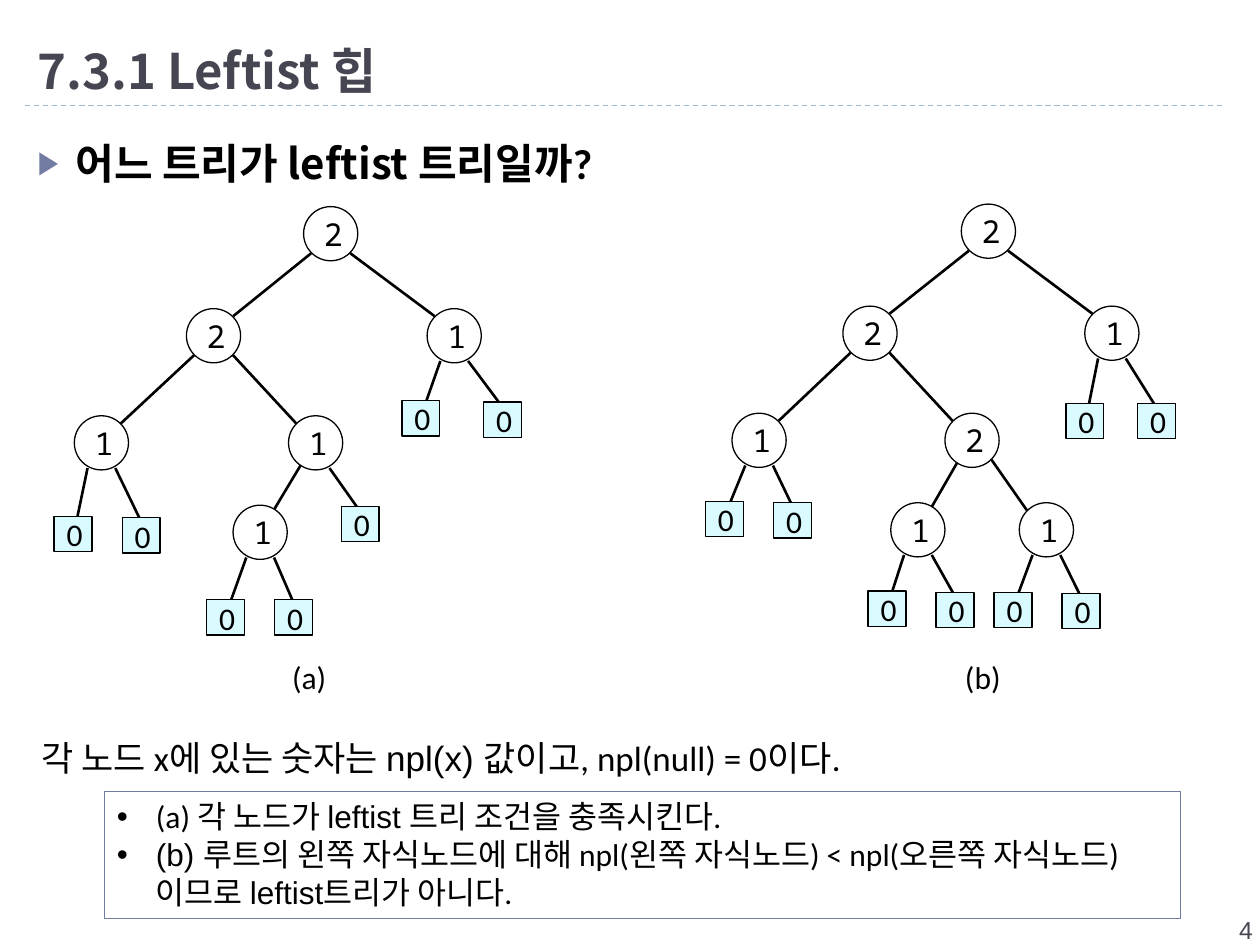
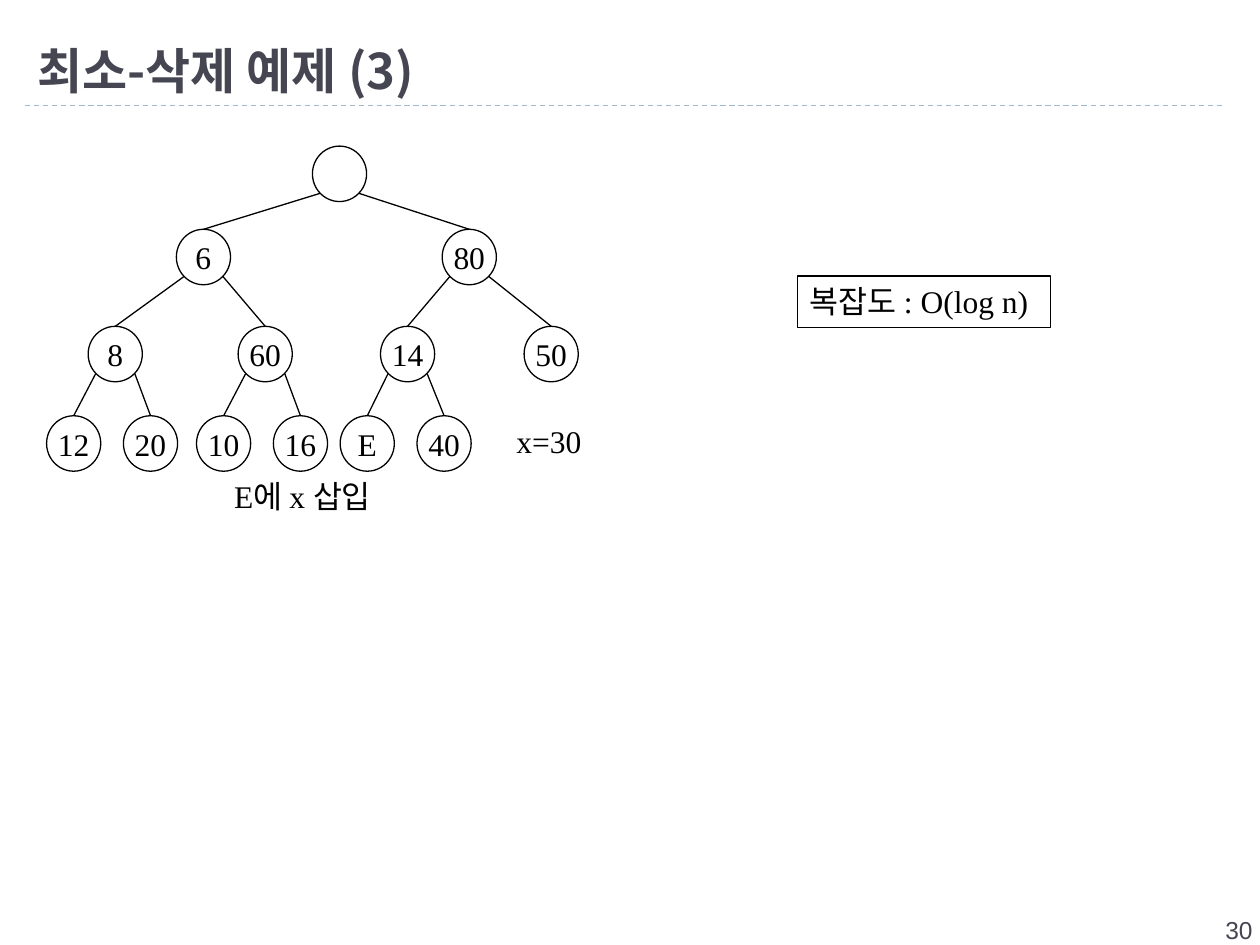
import pptx
import pptx.util
import pptx.dml.color
import pptx.enum.shapes
import pptx.enum.text
import pptx.enum.dml
import pptx.oxml.ns
import lxml.etree
from dataclasses import dataclass

Inches = pptx.util.Inches
Pt = pptx.util.Pt
SHAPES = pptx.enum.shapes.MSO_SHAPE
ALIGN = pptx.enum.text.PP_ALIGN
ANCHOR = pptx.enum.text.MSO_ANCHOR


@dataclass(frozen=True)
class Theme:
    ink: str = "000000"
    heading: str = "464653"
    accent: str = "727CA3"
    rule: str = "9FB8CD"
    node: str = "FFFFFF"
    leaf: str = "D9FAFF"
    sans: str = "Calibri"
    plain: str = "Arial"
    korean: str = "Noto Sans CJK KR"
    mono: str = "Noto Sans Mono"
    serif: str = "Times New Roman"
    title_size: int = 28
    question_size: int = 24
    note_size: int = 20
    text_size: int = 18
    number_size: int = 14


THEME = Theme()

LEFTIST_TITLE = ("7.3.1 Leftist 힙", "4")
LEFTIST_TREES = [
    ("2", 2.41, 1.64,
     ("2", 1.48, 2.45,
      ("1", 0.59, 3.3, ("0", 0.43, 4.1), ("0", 0.97, 4.11)),
      ("1", 2.29, 3.3,
       ("1", 1.85, 4.01, ("0", 1.64, 4.76), ("0", 2.18, 4.76)),
       ("0", 2.71, 4.02))),
     ("1", 3.39, 2.45, ("0", 3.19, 3.18), ("0", 3.84, 3.19))),
    ("2", 7.63, 1.62,
     ("2", 6.69, 2.43,
      ("1", 5.81, 3.28, ("0", 5.6, 3.98), ("0", 6.14, 3.99)),
      ("2", 7.5, 3.28,
       ("1", 7.07, 3.99, ("0", 6.89, 4.69), ("0", 7.43, 4.7)),
       ("1", 8.09, 3.99, ("0", 7.89, 4.7), ("0", 8.43, 4.71)))),
     ("1", 8.61, 2.43, ("0", 8.46, 3.2), ("0", 9.03, 3.2))),
]
QUESTION = [("어느 트리가 ", THEME.sans), ("leftist ", THEME.korean),
            ("트리일까?", THEME.sans)]
TREE_LABELS = [("(a)\t(b)", THEME.sans)]
NPL_NOTE = [("각 노드 x에 있는 숫자는 ", THEME.sans), ("npl(x) ", THEME.plain),
            ("값이고, npl(null) = 0이다.", THEME.sans)]
ANSWERS = [
    [("(a) 각 노드가 ", THEME.sans), ("leftist ", THEME.plain),
     ("트리 조건을 충족시킨다. ", THEME.sans)],
    [("(b) ", THEME.plain),
     ("루트의 왼쪽 자식노드에 대해 npl(왼쪽 자식노드) < npl(오른쪽 자식노드)이므로 ",
      THEME.sans),
     ("leftist", THEME.plain), ("트리가 아니다. ", THEME.sans)],
]

DELETE_TITLE = ("최소-삭제 예제 (3)", "30")
ROOT, UPPER, MIDDLE, BOTTOM = 1.16, 1.82, 2.59, 3.3
DELETE_HEAP = (
    "", 2.48, ROOT,
    ("6", 1.4, UPPER,
     ("8", 0.7, MIDDLE, ("12", 0.37, BOTTOM), ("20", 0.98, BOTTOM)),
     ("60", 1.89, MIDDLE, ("10", 1.56, BOTTOM), ("16", 2.17, BOTTOM))),
    ("80", 3.51, UPPER,
     ("14", 3.02, MIDDLE, ("E", 2.7, BOTTOM), ("40", 3.31, BOTTOM)),
     ("50", 4.16, MIDDLE)))

NODE = 0.43
HEAP_HEIGHT = 0.44
LEAF = (0.3, 0.28)
DIAGONAL = 0.155


def color(value):
    return pptx.dml.color.RGBColor.from_string(value)


def write(frame, paragraphs, size, ink=THEME.ink, align=ALIGN.LEFT,
          anchor=ANCHOR.TOP, wrap=True, bold=False):
    frame.word_wrap = wrap
    frame.vertical_anchor = anchor
    for index, runs in enumerate(paragraphs):
        paragraph = frame.add_paragraph() if index else frame.paragraphs[0]
        paragraph.alignment = align
        paragraph.font.size = Pt(size)
        paragraph.font.bold = bold
        paragraph.font.color.rgb = color(ink)
        if len({font for _, font in runs}) == 1:
            paragraph.font.name = runs[0][1]
        for text, font in runs:
            run = paragraph.add_run()
            run.text = text
            if paragraph.font.name is None:
                run.font.name = font


def add_text(slide, box, paragraphs, size, **style):
    frame = slide.shapes.add_textbox(*map(Inches, box)).text_frame
    write(frame, paragraphs, size, **style)
    return frame


def add_box(slide, kind, box, fill=None, line=THEME.ink):
    shape = slide.shapes.add_shape(kind, *map(Inches, box))
    shape.shadow.inherit = False
    if fill:
        shape.fill.solid()
        shape.fill.fore_color.rgb = color(fill)
    else:
        shape.fill.background()
    shape.line.color.rgb = color(line)
    shape.line.width = Pt(0.75)
    return shape


def add_line(slide, start, end, width, ink=THEME.ink):
    line = slide.shapes.add_connector(
        pptx.enum.shapes.MSO_CONNECTOR.STRAIGHT, *map(Inches, (*start, *end)))
    line.line.color.rgb = color(ink)
    line.line.width = Pt(width)
    lxml.etree.SubElement(line._element.spPr, pptx.oxml.ns.qn("a:effectLst"))
    return line


def add_bullet(paragraph, mark, indent, ink=None, percent=None):
    properties = paragraph._p.get_or_add_pPr()
    properties.set("marL", str(Inches(indent)))
    properties.set("indent", str(-Inches(indent)))
    parts = []
    if ink:
        parts.append(("buClr", {}))
        parts.append(("buSzPct", {"val": str(percent * 1000)}))
    parts += [("buFont", {"typeface": THEME.plain}), ("buChar", {"char": mark})]
    defaults = properties.find(pptx.oxml.ns.qn("a:defRPr"))
    for tag, values in parts:
        part = lxml.etree.Element(pptx.oxml.ns.qn("a:" + tag), values)
        if tag == "buClr":
            lxml.etree.SubElement(part, pptx.oxml.ns.qn("a:srgbClr"), val=ink)
        defaults.addprevious(part)


def add_tab(paragraph, position):
    tabs = lxml.etree.Element(pptx.oxml.ns.qn("a:tabLst"))
    lxml.etree.SubElement(tabs, pptx.oxml.ns.qn("a:tab"),
                          pos=str(Inches(position)), algn="l")
    paragraph._p.pPr.find(pptx.oxml.ns.qn("a:defRPr")).addprevious(tabs)


def leftist_edge(parent, child):
    x, y = parent[1] + NODE / 2, parent[2] + NODE / 2
    if child[0] == "0":
        end = child[1] + LEAF[0] / 2 + 0.02, child[2] + 0.07
        side = 1 if end[0] > x else -1
        return (x + side * 0.11, y + 0.2), end
    to_x, to_y = child[1] + NODE / 2, child[2] + NODE / 2
    side = 1 if to_x > x else -1
    if abs(to_x - x) > 0.5:
        return ((x + side * DIAGONAL, y + DIAGONAL),
                (to_x - side * DIAGONAL, to_y - DIAGONAL))
    return (x + side * 0.12, y + 0.18), (to_x - side * 0.08, to_y - 0.13)


def heap_edge(parent, child):
    x, to_x = parent[1] + NODE / 2, child[1] + NODE / 2
    side = 1 if to_x > x else -1
    start = x + side * DIAGONAL, parent[2] + HEAP_HEIGHT / 2 + DIAGONAL
    return start, (to_x, child[2])


def leftist_node(slide, node):
    label, x, y = node[:3]
    if label == "0":
        shape = add_box(slide, SHAPES.RECTANGLE, (x, y, *LEAF), THEME.leaf)
        font = THEME.sans
    else:
        shape = add_box(slide, SHAPES.OVAL, (x, y, NODE, NODE), THEME.node)
        font = THEME.mono
    write(shape.text_frame, [[(label, font)]], THEME.text_size,
          align=ALIGN.CENTER, anchor=ANCHOR.MIDDLE)


def heap_node(slide, node):
    label, x, y = node[:3]
    shape = add_box(slide, SHAPES.OVAL, (x, y, NODE, HEAP_HEIGHT))
    if label:
        write(shape.text_frame, [[(label, THEME.serif)]], THEME.text_size,
              align=ALIGN.CENTER, anchor=ANCHOR.MIDDLE, wrap=False)


def add_tree(slide, node, edge, draw_node, width):
    for child in node[3:]:
        add_line(slide, *edge(node, child), width)
        add_tree(slide, child, edge, draw_node, width)
    draw_node(slide, node)


def add_slide(deck, title, number):
    slide = deck.slides.add_slide(deck.slide_layouts[6])
    rule = add_line(slide, (0.2, 0.84), (9.72, 0.84), 0.75, THEME.rule)
    rule.line.dash_style = pptx.enum.dml.MSO_LINE.DASH
    add_text(slide, (0.2, 0.17, 9.61, 0.67), [[(title, THEME.korean)]],
             THEME.title_size, ink=THEME.heading, anchor=ANCHOR.BOTTOM, bold=True)
    add_text(slide, (7.87, 7.21, 2.17, 0.4), [[(number, THEME.plain)]],
             THEME.number_size, ink=THEME.heading, align=ALIGN.RIGHT)
    return slide


def build_leftist(deck):
    slide = add_slide(deck, *LEFTIST_TITLE)
    for tree in LEFTIST_TREES:
        add_tree(slide, tree, leftist_edge, leftist_node, 1.5)
    add_text(slide, (0.23, 5.8, 7.13, 0.44), [NPL_NOTE], THEME.note_size)
    labels = add_text(slide, (2.22, 5.17, 6.55, 0.4), [TREE_LABELS],
                      THEME.text_size)
    add_tab(labels.paragraphs[0], 5.34)
    question = add_text(slide, (0.2, 0.92, 9.61, 6.38), [QUESTION],
                        THEME.question_size, bold=True).paragraphs[0]
    question.line_spacing = 1.3
    question.space_before = Pt(12)
    add_bullet(question, "▶", 0.3, THEME.accent, 76)
    answers = add_box(slide, SHAPES.RECTANGLE, (0.83, 6.28, 8.54, 1.01),
                      line=THEME.accent).text_frame
    write(answers, ANSWERS, THEME.text_size)
    for answer in answers.paragraphs:
        add_bullet(answer, "•", 0.31)


def build_delete(deck):
    slide = add_slide(deck, *DELETE_TITLE)
    add_tree(slide, DELETE_HEAP, heap_edge, heap_node, 0.75)
    add_text(slide, (4, 3.3, 0.72, 0.4), [[("x=30", THEME.serif)]],
             THEME.text_size, wrap=False)
    add_text(slide, (1.76, 3.74, 1.35, 0.4), [[("E에 x 삽입", THEME.serif)]],
             THEME.text_size)
    cost = add_box(slide, SHAPES.RECTANGLE, (6.33, 2.19, 2.01, 0.41))
    write(cost.text_frame, [[("복잡도 : O(log n)", THEME.serif)]],
          THEME.text_size, wrap=False)


deck = pptx.Presentation()
deck.slide_width = Inches(10)
deck.slide_height = Inches(7.5)
build_leftist(deck)
build_delete(deck)
deck.save("out.pptx")
